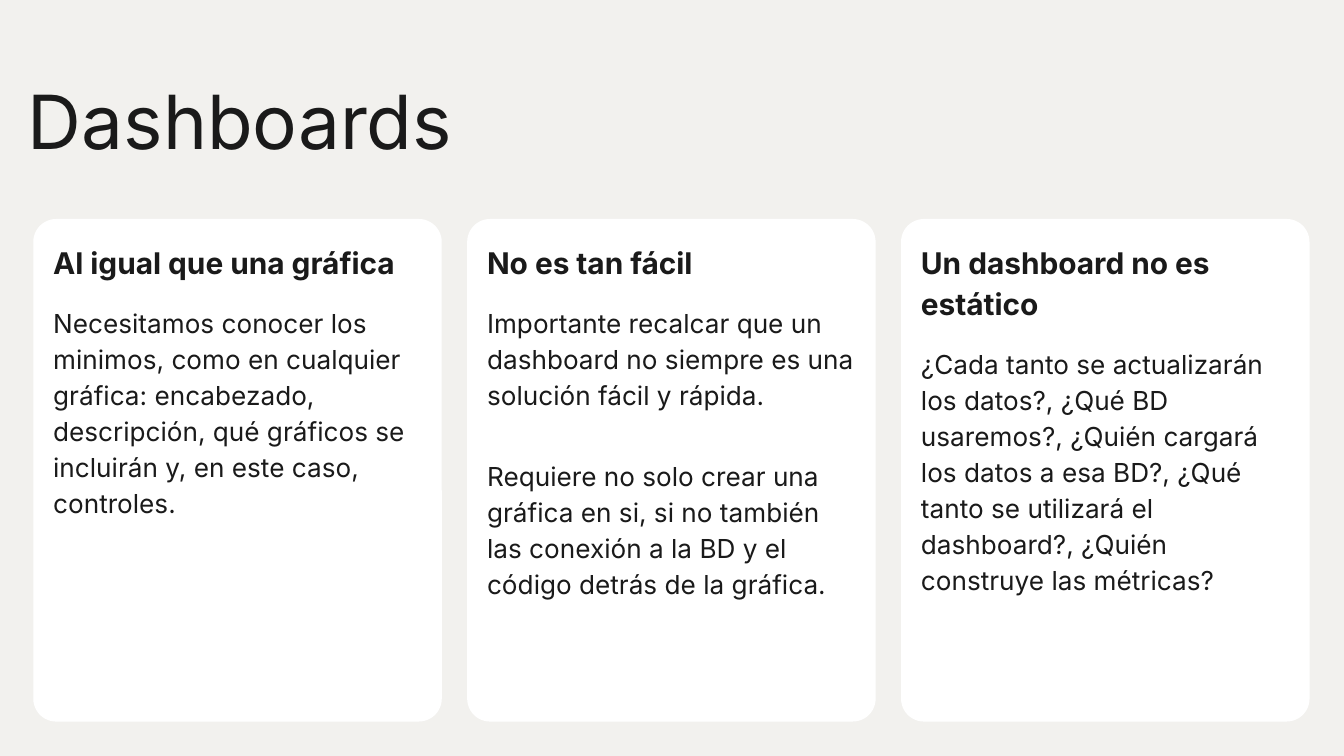
from pptx import Presentation
from pptx.dml.color import RGBColor
from pptx.enum.shapes import MSO_SHAPE
from pptx.enum.text import MSO_ANCHOR, PP_ALIGN
from pptx.util import Cm, Pt

ROUNDED = MSO_SHAPE.ROUNDED_RECTANGLE
TOP = MSO_ANCHOR.TOP
LEFT = PP_ALIGN.LEFT

COLORS = {"background": "F2F1EE", "card": "FFFFFF", "ink": "1A1A1A"}
FONT = "Inter"

# Text formats
TITLE = {"size": Pt(40), "bold": False}
HEADING = {"size": Pt(16), "bold": True}
BODY = {"size": Pt(14), "bold": False}
HEADING_SPACING = {"alignment": LEFT, "line_spacing": 1.15}
BODY_SPACING = {**HEADING_SPACING, "space_before": Pt(12), "space_after": Pt(12)}
FRAME = {
    "word_wrap": True,
    "vertical_anchor": TOP,
    "margin_left": Cm(0.25),
    "margin_right": Cm(0.25),
    "margin_top": Cm(0.25),
}

# Card row, in centimetres
CARD_LEFT, CARD_TOP = 0.63, 4.14
CARD_WIDTH, CARD_HEIGHT = 7.72, 9.5
CARD_GAP = 0.48

CARDS = [
    ("Al igual que una gráfica", [
        "Necesitamos conocer los minimos, como en cualquier gráfica: encabezado, "
        "descripción, qué gráficos se incluirán y, en este caso, controles.",
    ]),
    ("No es tan fácil", [
        "Importante recalcar que un dashboard no siempre es una solución fácil "
        "y rápida.",
        "Requiere no solo crear una gráfica en si, si no también las conexión "
        "a la BD y el código detrás de la gráfica.",
    ]),
    ("Un dashboard no es estático", [
        "¿Cada tanto se actualizarán los datos?, ¿Qué BD usaremos?, ¿Quién "
        "cargará los datos a esa BD?, ¿Qué tanto se utilizará el dashboard?, "
        "¿Quién construye las métricas?",
    ]),
]


def color(name):
    return RGBColor.from_string(COLORS[name])


def apply(target, values):
    for name, value in values.items():
        setattr(target, name, value)


def write(paragraph, text, font, spacing):
    run = paragraph.add_run()
    run.text = text
    apply(paragraph, spacing)
    apply(run.font, {"name": FONT, **font})
    run.font.color.rgb = color("ink")


def add_title(slide, text):
    title = slide.shapes.add_textbox(Cm(0.28), Cm(1.17), Cm(23.67), Cm(2.24))
    frame = title.text_frame
    apply(frame, {**FRAME, "margin_bottom": Cm(0.25)})
    write(frame.paragraphs[0], text, TITLE, {"alignment": LEFT})


def add_card(slide, left, heading, body):
    card = slide.shapes.add_shape(
        ROUNDED, Cm(left), Cm(CARD_TOP), Cm(CARD_WIDTH), Cm(CARD_HEIGHT))
    card.adjustments[0] = 0.056
    card.shadow.inherit = False
    card.fill.solid()
    card.fill.fore_color.rgb = color("card")
    card.line.fill.background()

    frame = card.text_frame
    apply(frame, {**FRAME, "margin_bottom": 0})
    write(frame.paragraphs[0], heading, HEADING, HEADING_SPACING)
    for text in body:
        write(frame.add_paragraph(), text, BODY, BODY_SPACING)


def main():
    deck = Presentation()
    deck.slide_width, deck.slide_height = Cm(25.4), Cm(14.29)
    slide = deck.slides.add_slide(deck.slide_layouts[6])

    # Background
    slide.background.fill.solid()
    slide.background.fill.fore_color.rgb = color("background")

    # Title and row of cards
    add_title(slide, "Dashboards")
    for column, (heading, body) in enumerate(CARDS):
        left = CARD_LEFT + column * (CARD_WIDTH + CARD_GAP)
        add_card(slide, left, heading, body)

    deck.save("out.pptx")


if __name__ == "__main__":
    main()
